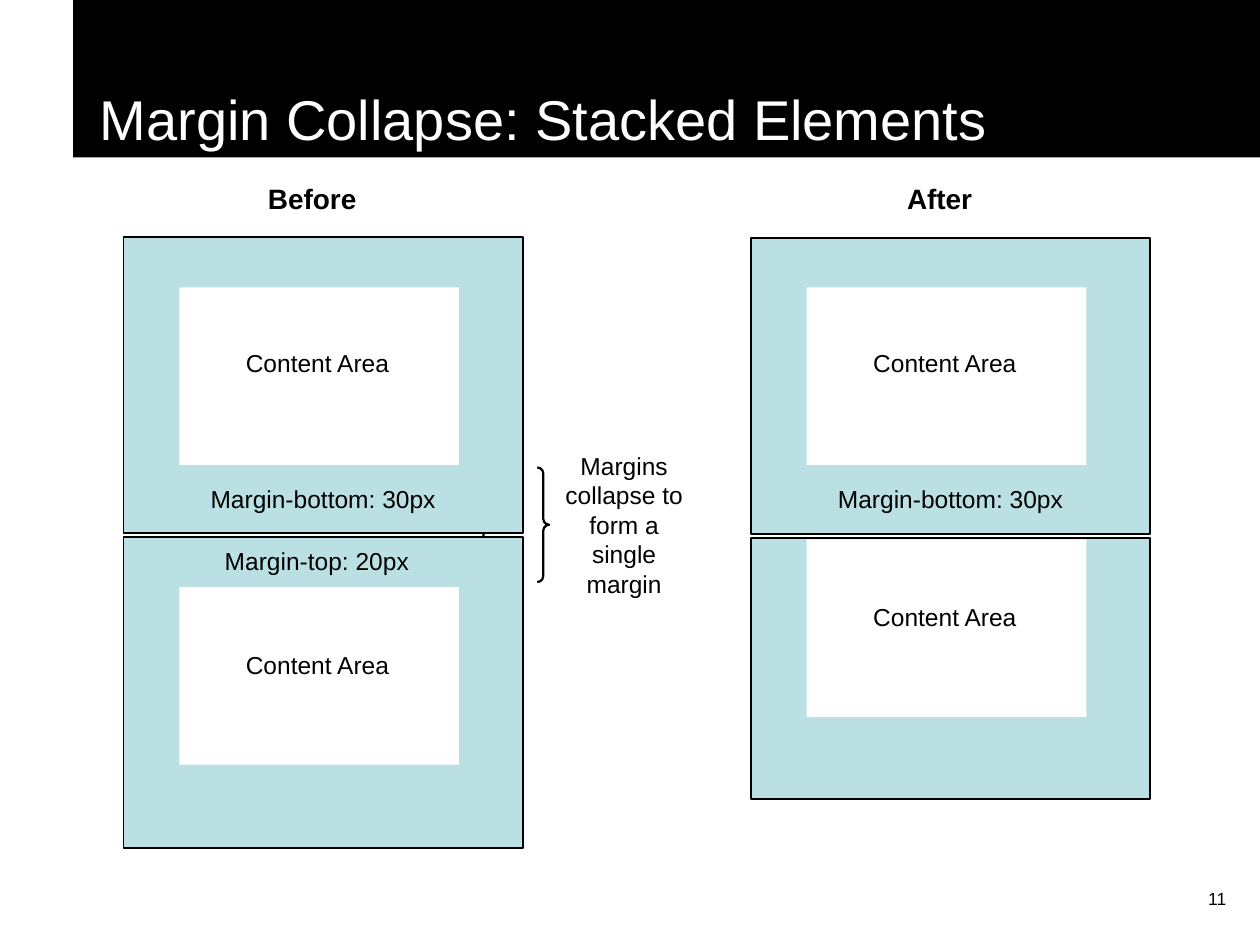
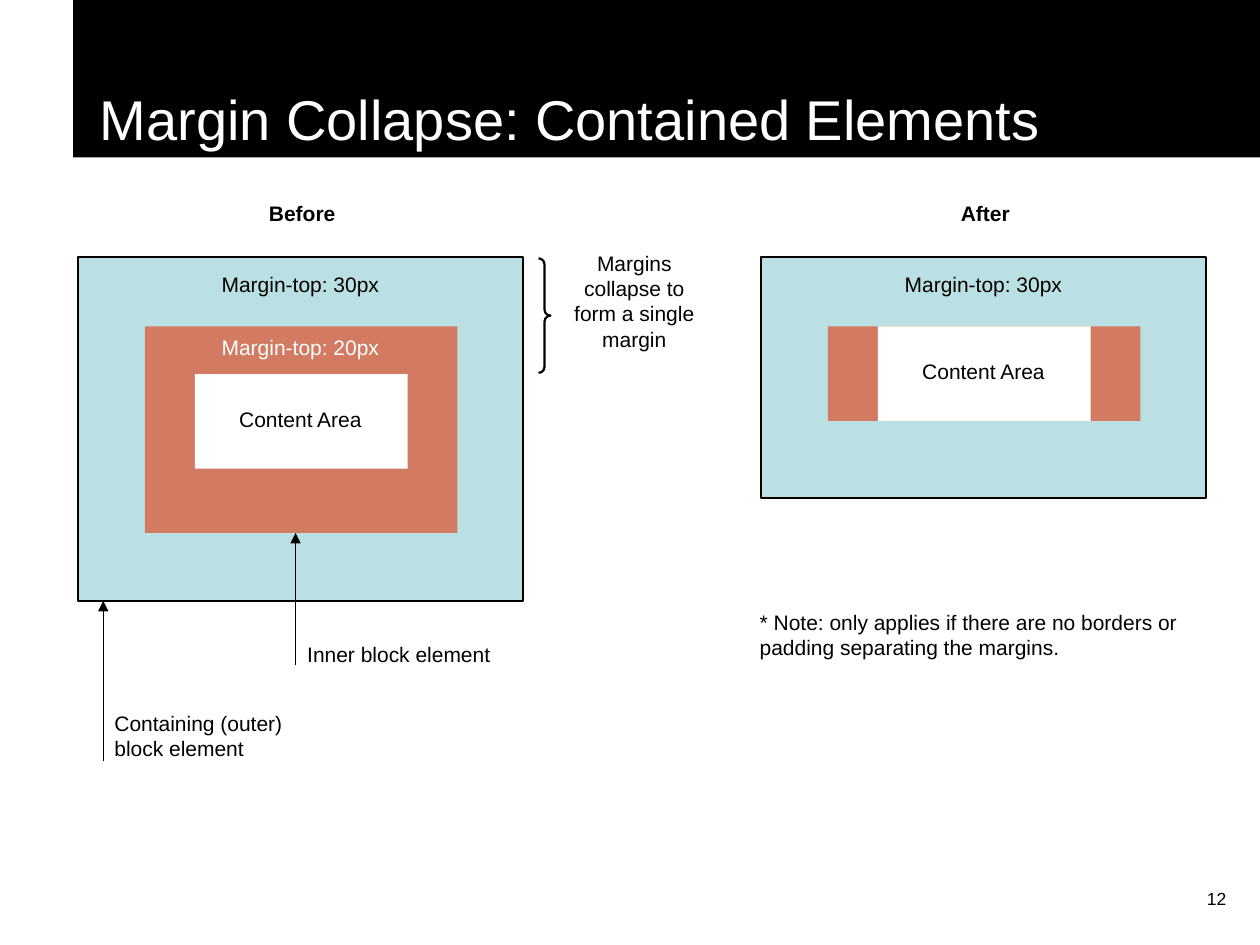
"""Build two slides that show how CSS margins collapse."""
from lxml.etree import SubElement
from pptx import Presentation
from pptx.dml.color import RGBColor
from pptx.enum.shapes import MSO_CONNECTOR, MSO_SHAPE
from pptx.enum.text import MSO_ANCHOR, PP_ALIGN
from pptx.oxml.ns import qn
from pptx.util import Pt

COLORS = {"black": "000000", "white": "FFFFFF", "outer": "BBE0E3", "inner": "D27B62"}
FONT = "Arial"
COLLAPSE = "Margins collapse to form a single margin"

# Box kinds: offset in column, width, fill, outlined.
# Label kinds: offset in column, width, colour, bold.
# Boxes: kind, top, height. Labels: kind, text, top.
SLIDES = [
    {
        "title": "Margin Collapse: Stacked Elements",
        "number": "11",
        "size": 14,
        "heading": {"top": 100.1, "size": 16},
        "brace": (272.9, 267.1),
        "collapse": (311, 254.2),
        "box_kinds": {
            "block": (0, 228.2, "outer", True),
            "content": (31.9, 159.8, "white", False),
        },
        "label_kinds": {
            "heading": (45.9, 123.8, "black", True),
            "content": (44.6, 132.5, "black", False),
            "bottom": (0, 228.2, "black", False),
            "top": (-3.6, 228.2, "black", False),
        },
        "columns": [
            {
                "left": 70.6,
                "heading": "Before",
                "boxes": [("block", 135.4, 169.2), ("content", 164.2, 101.5),
                          ("block", 306.7, 177.8), ("content", 335.5, 101.5)],
                "labels": [("content", "Content Area", 195.1),
                           ("bottom", "Margin-bottom: 30px", 272.9),
                           ("top", "Margin-top: 20px", 308.2),
                           ("content", "Content Area", 367.9)],
            },
            {
                "left": 429.1,
                "heading": "After",
                "boxes": [("block", 135.8, 169.2), ("content", 164.2, 101.5),
                          ("block", 307.6, 149), ("content", 308.2, 101.5)],
                "labels": [("content", "Content Area", 195.1),
                           ("bottom", "Margin-bottom: 30px", 272.9),
                           ("content", "Content Area", 340.6)],
            },
        ],
        "arrows": [],
        "notes": [],
    },
    {
        "title": "Margin Collapse: Contained Elements",
        "number": "12",
        "size": 12,
        "heading": {"top": 110.9, "size": 12},
        "brace": (273.6, 147.6),
        "collapse": (316.8, 139.7),
        "box_kinds": {
            "outer": (0, 254.2, "outer", True),
            "inner": (38.2, 178.6, "inner", False),
            "content": (66.7, 121.7, "white", False),
        },
        "label_kinds": {
            "heading": (66.2, 123.8, "black", True),
            "content": (53.3, 147.6, "black", False),
            "outer": (0, 254.2, "black", False),
            "inner": (0, 254.2, "white", False),
        },
        "columns": [
            {
                "left": 44.6,
                "heading": "Before",
                "boxes": [("outer", 146.9, 196.6), ("inner", 186.5, 118.1),
                          ("content", 213.8, 54)],
                "labels": [("outer", "Margin-top: 30px", 151.9),
                           ("inner", "Margin-top: 20px", 187.9),
                           ("content", "Content Area", 229)],
            },
            {
                "left": 434.9,
                "heading": "After",
                "boxes": [("outer", 146.9, 137.5), ("inner", 186.5, 54),
                          ("content", 186.5, 54)],
                "labels": [("outer", "Margin-top: 30px", 151.9),
                           ("content", "Content Area", 201.6)],
            },
        ],
        "arrows": [(59, 343.4, 434.9), (168.9, 304.6, 380.2)],
        "notes": [
            ("Containing (outer) block element", 58.3, 402.5, 139.7),
            ("Inner block element", 168.5, 362.9, 139.7),
            ("* Note: only applies if there are no borders or "
             "padding separating the margins.", 427, 344.9, 262.8),
        ],
    },
]


def rgb(name):
    return RGBColor.from_string(COLORS[name])


def write(shape, text, size, color="black", bold=False, align=PP_ALIGN.LEFT):
    tf = shape.text_frame
    tf.word_wrap = True
    p = tf.paragraphs[0]
    p.text = text
    p.alignment = align
    font = p.runs[0].font
    font.name, font.size, font.bold = FONT, Pt(size), bold
    font.color.rgb = rgb(color)


def add_label(s, text, left, top, width, size, color="black", bold=False,
              align=PP_ALIGN.CENTER):
    sp = s.shapes.add_textbox(Pt(left), Pt(top), Pt(width), Pt(size * 1.2 + 7.2))
    write(sp, text, size, color, bold, align)


def add_box(s, left, top, width, height, fill=None, line=0, kind=MSO_SHAPE.RECTANGLE):
    sp = s.shapes.add_shape(kind, Pt(left), Pt(top), Pt(width), Pt(height))
    sp.shadow.inherit = False
    if fill:
        sp.fill.solid()
        sp.fill.fore_color.rgb = rgb(fill)
    else:
        sp.fill.background()
    if line:
        sp.line.color.rgb = rgb("black")
        sp.line.width = Pt(line)
    else:
        sp.line.fill.background()
    return sp


def add_up_arrow(s, x, tip, tail):
    c = s.shapes.add_connector(MSO_CONNECTOR.STRAIGHT, Pt(x), Pt(tip), Pt(x), Pt(tail))
    c.line.color.rgb = rgb("black")
    c.line.width = Pt(0.75)
    SubElement(c.line._get_or_add_ln(), qn("a:headEnd"), type="triangle")
    SubElement(c._element.spPr, qn("a:effectLst"))


def add_frame(s, title, number):
    band = add_box(s, 41.8, 0, 678.2, 90, "black")
    write(band, title, 32, "white")
    band.text_frame.vertical_anchor = MSO_ANCHOR.BOTTOM
    band.text_frame.margin_left = Pt(15.1)
    add_label(s, number, 558, 504, 149.8, 10, align=PP_ALIGN.RIGHT)


def add_column(s, data, column):
    left, size = column["left"], data["size"]
    for kind, top, height in column["boxes"]:
        dx, width, fill, outlined = data["box_kinds"][kind]
        add_box(s, left + dx, top, width, height, fill, int(outlined))
    heading = data["heading"]
    labels = [("heading", column["heading"], heading["top"])] + column["labels"]
    for kind, text, top in labels:
        dx, width, color, bold = data["label_kinds"][kind]
        add_label(s, text, left + dx, top, width,
                  heading["size"] if kind == "heading" else size, color, bold)


def add_slide(prs, data):
    s = prs.slides.add_slide(prs.slide_layouts[6])
    add_frame(s, data["title"], data["number"])
    brace = add_box(s, *data["brace"], 41, 65.5, line=1.25, kind=MSO_SHAPE.DOUBLE_BRACE)
    brace.adjustments[0] = 0.083
    for column in data["columns"]:
        add_column(s, data, column)
    add_label(s, COLLAPSE, *data["collapse"], 91.4, data["size"])
    for arrow in data["arrows"]:
        add_up_arrow(s, *arrow)
    for text, left, top, width in data["notes"]:
        add_label(s, text, left, top, width, data["size"], align=PP_ALIGN.LEFT)


def main():
    prs = Presentation()
    prs.slide_width, prs.slide_height = Pt(720), Pt(540)
    for data in SLIDES:
        add_slide(prs, data)
    prs.save("out.pptx")


if __name__ == "__main__":
    main()
